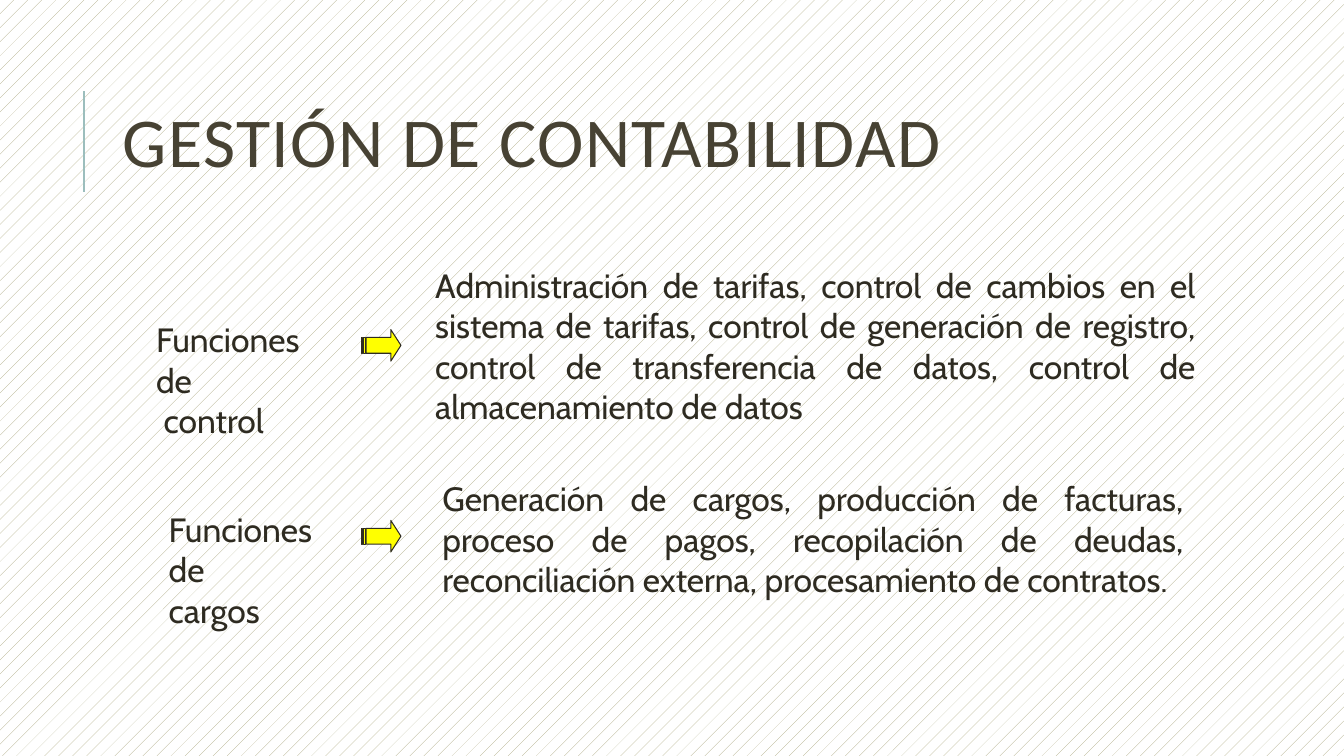
from dataclasses import dataclass

from lxml.etree import SubElement
from pptx import Presentation
from pptx.dml.color import RGBColor
from pptx.enum.dml import MSO_PATTERN
from pptx.enum.shapes import MSO_CONNECTOR, MSO_SHAPE
from pptx.enum.text import MSO_ANCHOR, MSO_AUTO_SIZE, PP_ALIGN
from pptx.oxml.ns import qn
from pptx.util import Pt

TITLE = "GESTIÓN DE CONTABILIDAD"
FUNCTIONS = [
    {
        "label": ["Funciones de", "control"],
        "label_box": (104.4, 224.6, 136, 94),
        "indents": [0, 5.5],
        "detail": "Administración de tarifas, control de cambios en el sistema de tarifas, "
        "control de generación de registro, control de transferencia de datos, "
        "control de almacenamiento de datos",
        "detail_box": (303.8, 185, 557.3, 123.8),
        "arrow_top": 235.4,
    },
    {
        "label": ["Funciones de", "cargos"],
        "label_box": (113.4, 360, 142.6, 94),
        "indents": [0, 0],
        "detail": "Generación de cargos, producción de facturas, proceso de pagos, "
        "recopilación de deudas, reconciliación externa, procesamiento de contratos.",
        "detail_box": (308.9, 337.7, 543.6, 94.3),
        "arrow_top": 371.7,
    },
]


@dataclass(frozen=True)
class Theme:
    text: RGBColor = RGBColor.from_string("2E2B21")
    title: RGBColor = RGBColor.from_string("474233")
    rule: RGBColor = RGBColor.from_string("9CBEBD")
    arrow: RGBColor = RGBColor.from_string("FFFF00")
    hatch: RGBColor = RGBColor.from_string("A9A57C")
    paper: RGBColor = RGBColor.from_string("FFFFFF")
    title_font: str = "Calibri"
    body_font: str = "Cabin"
    title_size: float = 50
    body_size: float = 24


THEME = Theme()


def points(*values):
    return [Pt(value) for value in values]


def write_text(shape, lines, *, font=THEME.body_font, size=THEME.body_size, color=THEME.text,
               align=PP_ALIGN.LEFT, anchor=MSO_ANCHOR.TOP, indents=None, line_spacing=1.0, tracking=0):
    frame = shape.text_frame
    frame.word_wrap = True
    frame.auto_size = MSO_AUTO_SIZE.NONE
    frame.vertical_anchor = anchor
    frame.text = "\n".join(lines)
    for paragraph, indent in zip(frame.paragraphs, indents or [0] * len(lines)):
        paragraph.alignment = align
        paragraph.line_spacing = line_spacing
        if indent:
            paragraph._p.get_or_add_pPr().set("marL", str(Pt(indent)))
        for run in paragraph.runs:
            run.font.name = font
            run.font.size = Pt(size)
            run.font.color.rgb = color
            if tracking:
                run._r.get_or_add_rPr().set("spc", str(tracking * 100))


def add_title(slide):
    title = slide.shapes.title
    title.left, title.top, title.width, title.height = points(80.6, 46.1, 765.4, 118.1)
    write_text(title, [TITLE], font=THEME.title_font, size=THEME.title_size, color=THEME.title,
               anchor=MSO_ANCHOR.MIDDLE, line_spacing=0.8, tracking=1)


def add_rule(slide):
    rule = slide.shapes.add_connector(MSO_CONNECTOR.STRAIGHT, *points(60, 136.8, 60, 64.8))
    rule.line.color.rgb = THEME.rule
    rule.line.width = Pt(1.5)
    SubElement(rule._element.spPr, qn("a:effectLst"))


def add_arrow(slide, top):
    arrow = slide.shapes.add_shape(MSO_SHAPE.STRIPED_RIGHT_ARROW, *points(258, top, 28.4, 22.6))
    arrow.shadow.inherit = False
    arrow.adjustments[0] = 0.5
    arrow.adjustments[1] = 0.32
    arrow.fill.solid()
    arrow.fill.fore_color.rgb = THEME.arrow
    arrow.line.color.rgb = THEME.text
    arrow.line.width = Pt(0.75)


def add_function(slide, function):
    detail = slide.shapes.add_textbox(*points(*function["detail_box"]))
    write_text(detail, [function["detail"]], align=PP_ALIGN.JUSTIFY, anchor=MSO_ANCHOR.MIDDLE)
    label = slide.shapes.add_textbox(*points(*function["label_box"]))
    write_text(label, function["label"], indents=function["indents"])
    add_arrow(slide, function["arrow_top"])


def main():
    presentation = Presentation()
    presentation.slide_width, presentation.slide_height = points(960, 540)
    slide = presentation.slides.add_slide(presentation.slide_layouts[5])
    background = slide.background.fill
    background.patterned()
    background.pattern = MSO_PATTERN.PERCENT_5
    background.fore_color.rgb = THEME.hatch
    background.back_color.rgb = THEME.paper
    add_rule(slide)
    add_title(slide)
    for function in FUNCTIONS:
        add_function(slide, function)
    presentation.save("out.pptx")


if __name__ == "__main__":
    main()
